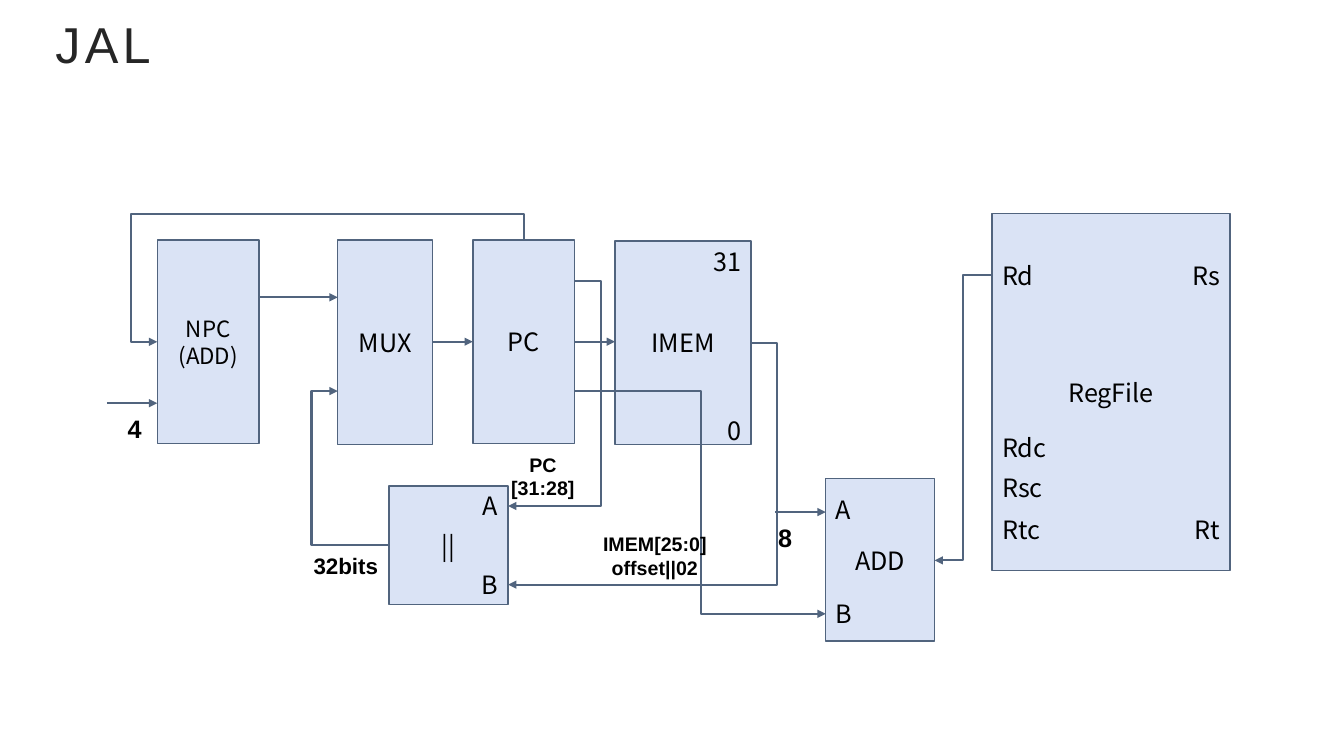
"""Build the JAL datapath slide."""
from lxml import etree
from pptx import Presentation
from pptx.dml.color import RGBColor
from pptx.enum.shapes import MSO_CONNECTOR, MSO_SHAPE
from pptx.enum.text import MSO_ANCHOR, MSO_AUTO_SIZE, PP_ALIGN
from pptx.oxml.ns import qn
from pptx.util import Inches, Pt

RECTANGLE = MSO_SHAPE.RECTANGLE
STRAIGHT, ELBOW = MSO_CONNECTOR.STRAIGHT, MSO_CONNECTOR.ELBOW
LEFT, CENTER, RIGHT = PP_ALIGN.LEFT, PP_ALIGN.CENTER, PP_ALIGN.RIGHT
MIDDLE, TOP = MSO_ANCHOR.MIDDLE, MSO_ANCHOR.TOP

BLOCK_FILL = RGBColor(0xDA, 0xE3, 0xF5)
WIRE = RGBColor(0x51, 0x64, 0x7E)
BLACK = RGBColor(0, 0, 0)
TITLE_COLOR = RGBColor(0x26, 0x26, 0x26)
BLOCK_FONT, LABEL_FONT = "Noto Sans CJK JP", "Arial"

TITLE = "JAL"
LANE = 0.26
PIN_WIDTH, PIN_HEIGHT = 0.75, 0.4

# name: text, size, (left, top, width, height)
BLOCKS = {
    "NPC": ("NPC\n(ADD)", 16, (1.56, 2.38, 1.01, 2.02)),
    "MUX": ("MUX", 18, (3.35, 2.38, 0.94, 2.03)),
    "PC": ("PC", 18, (4.69, 2.38, 1.01, 2.02)),
    "IMEM": ("IMEM", 18, (6.1, 2.39, 1.35, 2.02)),
    "JOIN": ("||", 18, (3.86, 4.82, 1.18, 1.18)),
    "ADD": ("ADD", 18, (8.19, 4.75, 1.08, 1.61)),
    "REGFILE": ("RegFile", 18, (9.84, 2.12, 2.36, 3.54)),
}
PINS = [
    ("IMEM", RIGHT, "31", 2.39), ("IMEM", RIGHT, "0", 4.07),
    ("JOIN", RIGHT, "A", 4.82), ("JOIN", RIGHT, "B", 5.6),
    ("ADD", LEFT, "A", 4.86), ("ADD", LEFT, "B", 5.89),
    ("REGFILE", LEFT, "Rd", 2.53), ("REGFILE", LEFT, "Rdc", 4.24),
    ("REGFILE", LEFT, "Rsc", 4.64), ("REGFILE", LEFT, "Rtc", 5.05),
    ("REGFILE", RIGHT, "Rs", 2.53), ("REGFILE", RIGHT, "Rt", 5.05),
]
LABELS = [
    ("4", 18, CENTER, (1.11, 4.05, 0.45, 0.4)),
    ("32bits", 16, CENTER, (3, 5.43, 0.86, 0.37)),
    ("PC\n[31:28]", 14, CENTER, (4.83, 4.44, 1.11, 0.57)),
    ("IMEM[25:0]\noffset||02", 14, CENTER, (5.55, 5.23, 1.89, 0.57)),
    ("8", 18, LEFT, (7.62, 5.13, 0.57, 0.4)),
]


def left_of(name):
    return BLOCKS[name][2][0]


def right_of(name):
    left, _, width, _ = BLOCKS[name][2]
    return left + width


# start, end, x of the vertical run (None for a straight wire)
WIRES = [
    ((1.06, 4), (left_of("NPC"), 4), None),
    ((right_of("NPC"), 2.95), (left_of("MUX"), 2.95), None),
    ((right_of("MUX"), 3.39), (left_of("PC"), 3.39), None),
    ((right_of("PC"), 3.39), (left_of("IMEM"), 3.39), None),
    ((7.69, 5.08), (left_of("ADD"), 5.08), None),
    ((right_of("PC"), 2.79), (right_of("JOIN"), 5.02), right_of("PC") + LANE),
    ((right_of("IMEM"), 3.4), (right_of("JOIN"), 5.8), right_of("IMEM") + LANE),
    ((left_of("JOIN"), 5.41), (left_of("MUX"), 3.88), left_of("MUX") - LANE),
    ((right_of("PC"), 3.88), (left_of("ADD"), 6.09), 6.95),
    ((left_of("REGFILE"), 2.73), (right_of("ADD"), 5.56), 9.55),
]


def write(shape, text, size, font, align, anchor, bold=False):
    frame = shape.text_frame
    frame.text = text
    frame.word_wrap = True
    frame.vertical_anchor = anchor
    for paragraph in frame.paragraphs:
        paragraph.alignment = align
        for run in paragraph.runs:
            run.font.name = font
            run.font.size = Pt(size)
            run.font.bold = bold
            run.font.color.rgb = BLACK


def add_block(slide, text, size, box):
    shape = slide.shapes.add_shape(RECTANGLE, *map(Inches, box))
    shape.shadow.inherit = False
    shape.fill.solid()
    shape.fill.fore_color.rgb = BLOCK_FILL
    shape.line.color.rgb = WIRE
    shape.line.width = Pt(1)
    write(shape, text, size, BLOCK_FONT, CENTER, MIDDLE)


def add_label(slide, text, size, font, align, box, bold=False):
    shape = slide.shapes.add_textbox(*map(Inches, box))
    write(shape, text, size, font, align, TOP, bold)


def add_wire(slide, kind, start, end, adjustments=()):
    wire = slide.shapes.add_connector(kind, *map(Inches, (*start, *end)))
    wire.line.color.rgb = WIRE
    wire.line.width = Pt(1.5)
    properties = wire._element.spPr
    etree.SubElement(properties.find(qn("a:ln")), qn("a:tailEnd"), type="triangle")
    etree.SubElement(properties, qn("a:effectLst"))
    geometry = properties.find(qn("a:prstGeom"))
    guides = geometry.find(qn("a:avLst"))
    if guides is None:
        guides = etree.SubElement(geometry, qn("a:avLst"))
    for number, share in enumerate(adjustments, 1):
        etree.SubElement(guides, qn("a:gd"), name=f"adj{number}",
                         fmla=f"val {round(share * 100000)}")
    return wire


def add_feedback(slide):
    """Run a wire from the top of PC back to the left side of NPC."""
    left, top, width, _ = BLOCKS["PC"][2]
    start_x, end_x, end_y = left + width / 2, left_of("NPC"), 3.39
    run, drop = start_x - end_x, end_y - top
    center_x, center_y = (start_x + end_x) / 2, (top + end_y) / 2
    wire = add_wire(slide, ELBOW,
                    (center_x + drop / 2, center_y + run / 2),
                    (center_x - drop / 2, center_y - run / 2),
                    (-LANE / drop, 1 + LANE / run))
    properties = wire._element.spPr
    properties.find(qn("a:prstGeom")).set("prst", "bentConnector4")
    properties.find(qn("a:xfrm")).set("rot", str(270 * 60000))


def add_title(slide):
    title = slide.shapes.title
    title.left, title.top, title.width, title.height = map(Inches, (0.45, 0.04, 12, 0.77))
    write(title, TITLE, 36, LABEL_FONT, LEFT, MIDDLE)
    title.text_frame.auto_size = MSO_AUTO_SIZE.NONE
    run = title.text_frame.paragraphs[0].runs[0]
    run.font.color.rgb = TITLE_COLOR
    run._r.get_or_add_rPr().set("spc", "300")


def main():
    presentation = Presentation()
    presentation.slide_width, presentation.slide_height = Inches(13.33), Inches(7.5)
    slide = presentation.slides.add_slide(presentation.slide_layouts[5])
    add_title(slide)
    for block in BLOCKS.values():
        add_block(slide, *block)
    for name, side, text, top in PINS:
        left = left_of(name) if side == LEFT else right_of(name) - PIN_WIDTH
        add_label(slide, text, 18, BLOCK_FONT, side, (left, top, PIN_WIDTH, PIN_HEIGHT))
    for start, end, bend in WIRES:
        if bend is None:
            add_wire(slide, STRAIGHT, start, end)
        else:
            share = (bend - start[0]) / (end[0] - start[0])
            add_wire(slide, ELBOW, start, end, (share,))
    add_feedback(slide)
    for text, size, align, box in LABELS:
        add_label(slide, text, size, LABEL_FONT, align, box, bold=True)
    presentation.save("out.pptx")


if __name__ == "__main__":
    main()
